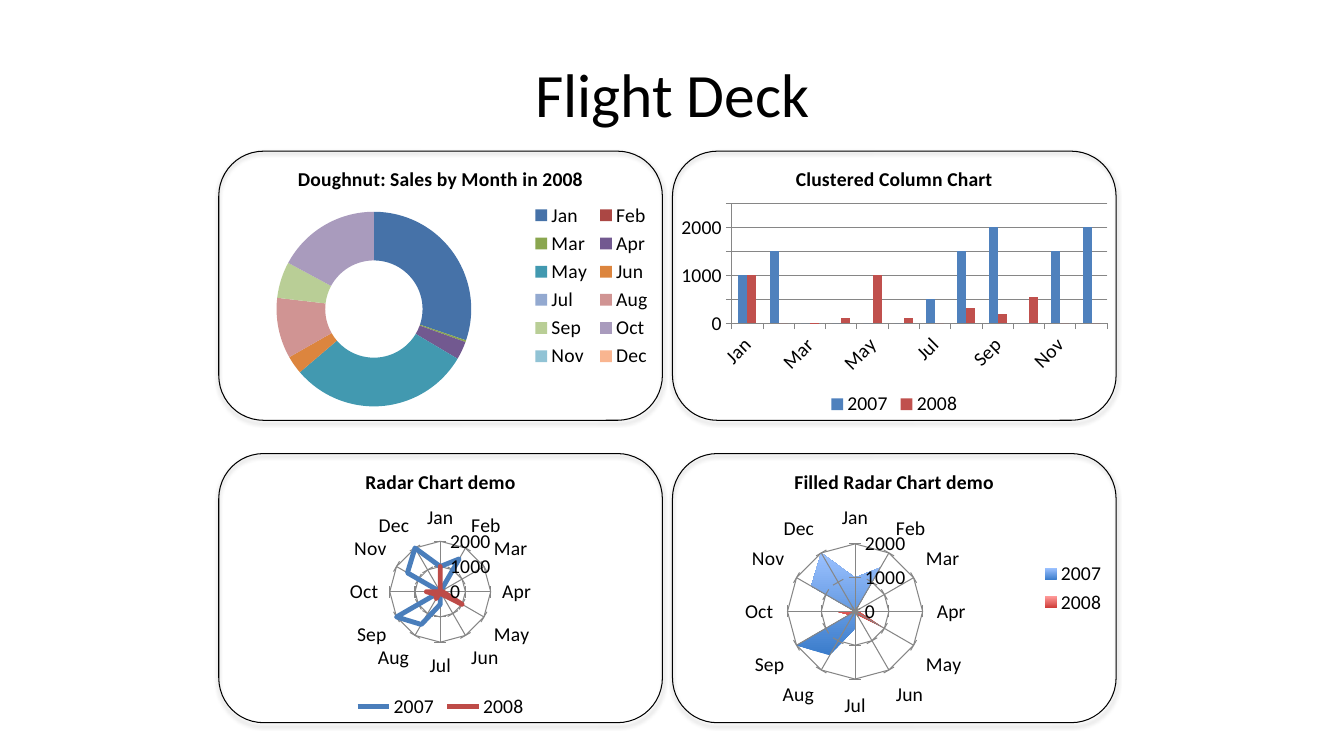
import pptx
import pptx.chart.data
import pptx.dml.color
import pptx.enum.chart
import pptx.enum.shapes
import pptx.enum.text
import pptx.oxml
import pptx.util

Inches = pptx.util.Inches
Pt = pptx.util.Pt
Kind = pptx.enum.chart.XL_CHART_TYPE
Legend = pptx.enum.chart.XL_LEGEND_POSITION
Tick = pptx.enum.chart.XL_TICK_MARK

HEADING = "Flight Deck"
FONT = "Calibri"
BLACK, GRID_GRAY = "000000", "868686"
MONTHS = ["Jan", "Feb", "Mar", "Apr", "May", "Jun",
          "Jul", "Aug", "Sep", "Oct", "Nov", "Dec"]
SHARES = {"Series 1": [30, None, 0.3, 3, 30, 3, None, 10, 6, 17, None, None]}
SALES = {
    "2007": [1000, 1500, 0, 0, 0, 0, 500, 1500, 2000, 0, 1500, 2000],
    "2008": [1000, 0, 10, 100, 1000, 100, 0, 320, 200, 550, 0, 0],
}
MONTH_COLORS = ["4672A8", "AB4744", "8AA64F", "725990", "4299B0", "DC853E",
                "93A9D0", "D09493", "B9CE96", "A99BBD", "91C3D5", "F9B590"]
YEAR_COLORS = ["4F81BD", "C0504D"]
RADAR_LINE_COLORS = ["4A7EBB", "BE4B48"]
YEAR_GRADIENTS = [("3A7CCB", "9BC1FF"), ("CE3B37", "FF9A99")]
PANELS = [
    ("Doughnut: Sales by Month in 2008", Kind.DOUGHNUT, SHARES, Legend.RIGHT),
    ("Clustered Column Chart", Kind.COLUMN_CLUSTERED, SALES, Legend.BOTTOM),
    ("Radar Chart demo", Kind.RADAR, SALES, Legend.BOTTOM),
    ("Filled Radar Chart demo", Kind.RADAR_FILLED, SALES, Legend.RIGHT),
]
LEFT, TOP, WIDTH, HEIGHT = 2.17, 1.5, 4.4, 2.67
COLUMN_STEP, ROW_STEP = 4.5, 3
SHADOW = (
    '<a:outerShdw xmlns:a="http://schemas.openxmlformats.org/drawingml/2006/main"'
    ' blurRad="40000" dist="23000" dir="5400000" rotWithShape="0">'
    '<a:srgbClr val="000000"><a:alpha val="35000"/></a:srgbClr></a:outerShdw>'
)


def rgb(color):
    return pptx.dml.color.RGBColor.from_string(color)


def paint(fill, color):
    fill.solid()
    fill.fore_color.rgb = rgb(color)


def style_font(font, size, bold=False):
    font.name = FONT
    font.size = Pt(size)
    font.bold = bold
    font.color.rgb = rgb(BLACK)


def style_axes(chart, kind):
    months, values = chart.category_axis, chart.value_axis
    is_column = kind == Kind.COLUMN_CLUSTERED
    months.has_major_gridlines = not is_column
    values.has_major_gridlines = True
    months.major_tick_mark = Tick.OUTSIDE
    values.major_tick_mark = Tick.OUTSIDE if is_column else Tick.CROSS
    for axis in (months, values):
        axis.minor_tick_mark = Tick.NONE
        axis.tick_labels.number_format = "General"
        axis.tick_labels.number_format_is_linked = False
        lines = [axis.format.line]
        if axis.has_major_gridlines:
            lines.append(axis.major_gridlines.format.line)
        for line in lines:
            line.color.rgb = rgb(GRID_GRAY)
            line.width = Pt(0.75)


def style_series(plot, kind):
    for index, series in enumerate(plot.series):
        if kind == Kind.DOUGHNUT:
            for month, color in enumerate(MONTH_COLORS):
                paint(series.points[month].format.fill, color)
        elif kind == Kind.COLUMN_CLUSTERED:
            paint(series.format.fill, YEAR_COLORS[index])
            series.invert_if_negative = False
        elif kind == Kind.RADAR:
            series.format.line.color.rgb = rgb(RADAR_LINE_COLORS[index])
            series.format.line.width = Pt(3.5)
        else:
            fill = series.format.fill
            fill.gradient()
            fill.gradient_angle = 90
            for stop, color in zip(fill.gradient_stops, YEAR_GRADIENTS[index]):
                stop.color.rgb = rgb(color)


def add_panel(slide, position, caption, kind, table, legend_position):
    row, column = divmod(position, 2)
    box = [Inches(n) for n in (LEFT + column * COLUMN_STEP,
                               TOP + row * ROW_STEP, WIDTH, HEIGHT)]
    data = pptx.chart.data.CategoryChartData()
    data.categories = MONTHS
    for name, values in table.items():
        data.add_series(name, values)
    chart = slide.shapes.add_chart(kind, *box, data).chart
    style_font(chart.font, 14)
    chart.has_title = True
    chart.chart_title.text_frame.text = caption
    style_font(chart.chart_title.text_frame.paragraphs[0].runs[0].font, 14, True)
    chart.has_legend = True
    chart.legend.position = legend_position
    chart.legend.include_in_layout = False
    plot = chart.plots[0]
    plot.vary_by_categories = kind == Kind.DOUGHNUT
    if kind == Kind.COLUMN_CLUSTERED:
        plot.gap_width = 150
        plot.overlap = 0
    if kind != Kind.DOUGHNUT:
        style_axes(chart, kind)
    style_series(plot, kind)

    frame = slide.shapes.add_shape(
        pptx.enum.shapes.MSO_SHAPE.ROUNDED_RECTANGLE, *box)
    frame.fill.background()
    frame.line.color.rgb = rgb(BLACK)
    frame.line.width = Pt(0.75)
    frame.shadow.inherit = False
    effects = frame.element.spPr.find(pptx.oxml.ns.qn("a:effectLst"))
    effects.append(pptx.oxml.parse_xml(SHADOW))


def main():
    deck = pptx.Presentation()
    deck.slide_width, deck.slide_height = Inches(13.33), Inches(7.5)
    slide = deck.slides.add_slide(deck.slide_layouts[5])
    heading = slide.shapes.title
    heading.left, heading.top = Inches(0.67), Inches(0.3)
    heading.width, heading.height = Inches(12), Inches(1.25)
    heading.text_frame.text = HEADING
    heading.text_frame.vertical_anchor = pptx.enum.text.MSO_ANCHOR.MIDDLE
    line = heading.text_frame.paragraphs[0]
    line.alignment = pptx.enum.text.PP_ALIGN.CENTER
    style_font(line.runs[0].font, 44)
    for position, panel in enumerate(PANELS):
        add_panel(slide, position, *panel)
    deck.save("out.pptx")


if __name__ == "__main__":
    main()
